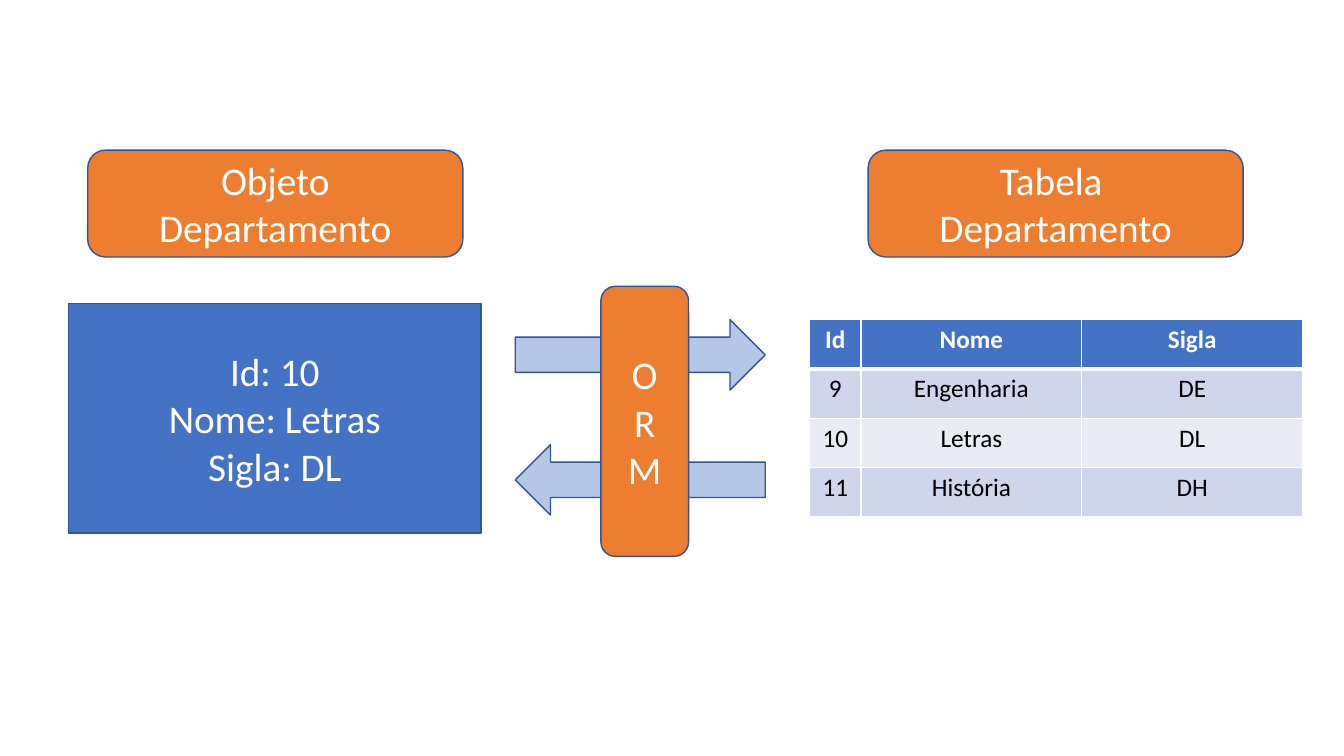
"""Build a slide showing how an ORM maps a Departamento object to a table row."""
from lxml.etree import SubElement
from pptx import Presentation
from pptx.dml.color import RGBColor
from pptx.enum.shapes import MSO_SHAPE
from pptx.enum.text import MSO_ANCHOR, PP_ALIGN
from pptx.oxml.ns import qn
from pptx.util import Inches, Pt

BLUE = RGBColor(0x44, 0x72, 0xC4)
OUTLINE = RGBColor(0x32, 0x54, 0x91)
ORANGE = RGBColor(0xED, 0x7D, 0x31)
PALE_BLUE = RGBColor(0xB4, 0xC7, 0xE7)
BAND_DARK = RGBColor(0xCF, 0xD5, 0xEA)
BAND_LIGHT = RGBColor(0xE9, 0xEB, 0xF5)
WHITE = RGBColor(0xFF, 0xFF, 0xFF)
BLACK = RGBColor(0, 0, 0)
FONT = "Calibri"

OBJECT_BOX = ("Id: 10\nNome: Letras\nSigla: DL", 0.68, 3.01, 4.09, 2.28)
TITLES = [("Objeto Departamento", 0.87), ("Tabela \nDepartamento", 8.61)]
TITLE_TOP, TITLE_WIDTH, TITLE_HEIGHT = 1.49, 3.72, 1.06
ARROWS = [(3.17, 0), (4.41, 180)]
ARROW_LEFT, ARROW_WIDTH, ARROW_HEIGHT = 5.11, 2.48, 0.7
ORM_BOX = ("O\nR\nM", 5.96, 2.84, 0.87, 2.68)
DEPARTMENTS = [
    ("Id", "Nome", "Sigla"),
    ("9", "Engenharia", "DE"),
    ("10", "Letras", "DL"),
    ("11", "História", "DH"),
]
TABLE_LEFT, TABLE_TOP, ROW_HEIGHT = 8.03, 3.17, 0.49
COLUMN_WIDTHS = [0.51, 2.19, 2.19]


def style_text(frame, size, color, bold=False):
    for para in frame.paragraphs:
        para.alignment = PP_ALIGN.CENTER
        for span in para.runs:
            span.font.name = FONT
            span.font.size = Pt(size)
            span.font.bold = bold
            span.font.color.rgb = color


def add_box(page, kind, fill, text, left, top, width, height):
    box = page.shapes.add_shape(
        kind, Inches(left), Inches(top), Inches(width), Inches(height))
    box.shadow.inherit = False
    box.fill.solid()
    box.fill.fore_color.rgb = fill
    box.line.color.rgb = OUTLINE
    box.line.width = Pt(1)
    if text:
        frame = box.text_frame
        frame.text = text
        frame.word_wrap = True
        frame.vertical_anchor = MSO_ANCHOR.MIDDLE
        style_text(frame, 28, WHITE)
    return box


def add_borders(cell, widths):
    properties = cell._tc.get_or_add_tcPr()
    for side, width in widths.items():
        border = SubElement(properties, qn(f"a:ln{side}"), w=str(Pt(width)))
        SubElement(SubElement(border, qn("a:solidFill")), qn("a:srgbClr"), val=str(WHITE))


def add_departments(page):
    table = page.shapes.add_table(
        len(DEPARTMENTS), len(COLUMN_WIDTHS), Inches(TABLE_LEFT), Inches(TABLE_TOP),
        Inches(sum(COLUMN_WIDTHS)), Inches(ROW_HEIGHT * len(DEPARTMENTS))).table
    for column, width in zip(table.columns, COLUMN_WIDTHS):
        column.width = Inches(width)
    for row, values in enumerate(DEPARTMENTS):
        header = row == 0
        band = BLUE if header else BAND_DARK if row % 2 else BAND_LIGHT
        for column, value in enumerate(values):
            cell = table.cell(row, column)
            cell.text = value
            style_text(cell.text_frame, 18, WHITE if header else BLACK, header)
            add_borders(cell, {"L": 1, "R": 1, "T": 3 if row == 1 else 1, "B": 3 if header else 1})
            cell.fill.solid()
            cell.fill.fore_color.rgb = band


def main():
    deck = Presentation()
    deck.slide_width, deck.slide_height = Inches(13.33), Inches(7.5)
    page = deck.slides.add_slide(deck.slide_layouts[6])
    add_box(page, MSO_SHAPE.RECTANGLE, BLUE, *OBJECT_BOX)
    for text, left in TITLES:
        add_box(page, MSO_SHAPE.ROUNDED_RECTANGLE, ORANGE, text,
                left, TITLE_TOP, TITLE_WIDTH, TITLE_HEIGHT)
    add_departments(page)
    for top, rotation in ARROWS:
        arrow = add_box(page, MSO_SHAPE.RIGHT_ARROW, PALE_BLUE, "",
                        ARROW_LEFT, top, ARROW_WIDTH, ARROW_HEIGHT)
        arrow.rotation = rotation
    add_box(page, MSO_SHAPE.ROUNDED_RECTANGLE, ORANGE, *ORM_BOX)
    deck.save("out.pptx")


if __name__ == "__main__":
    main()
